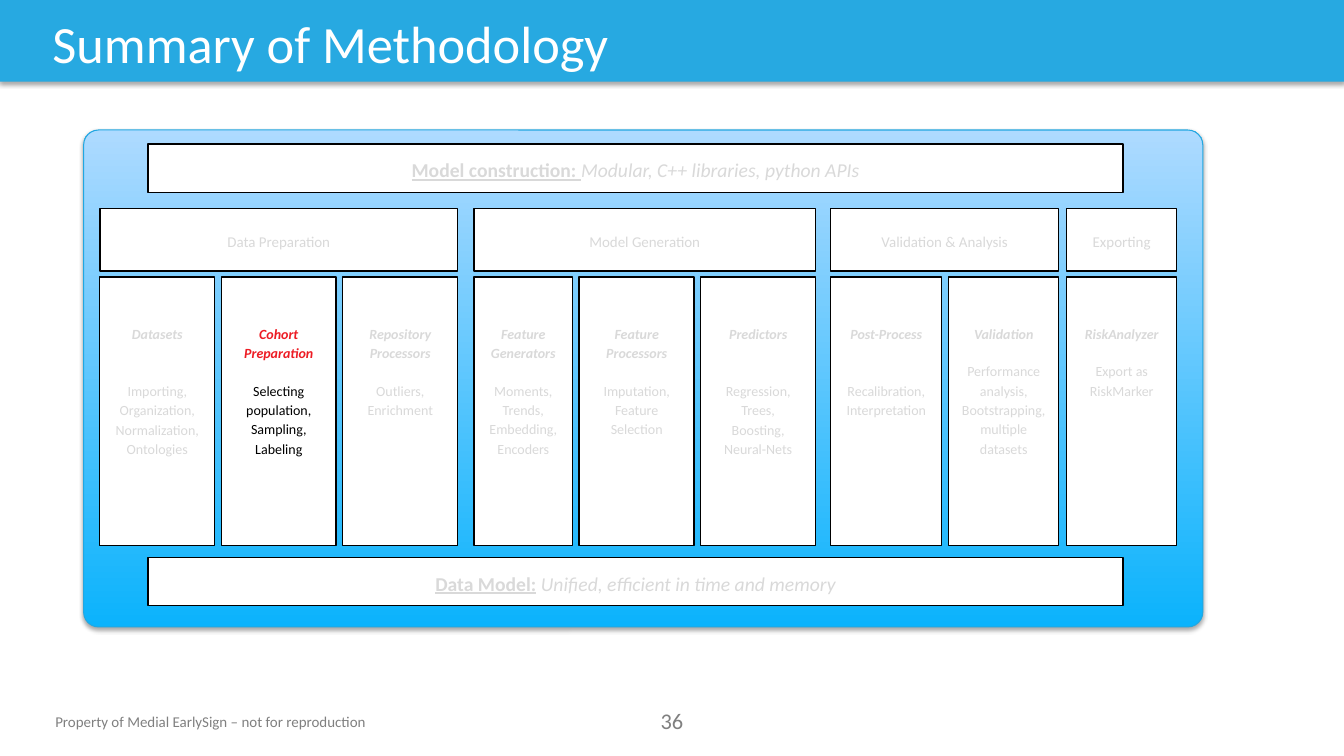
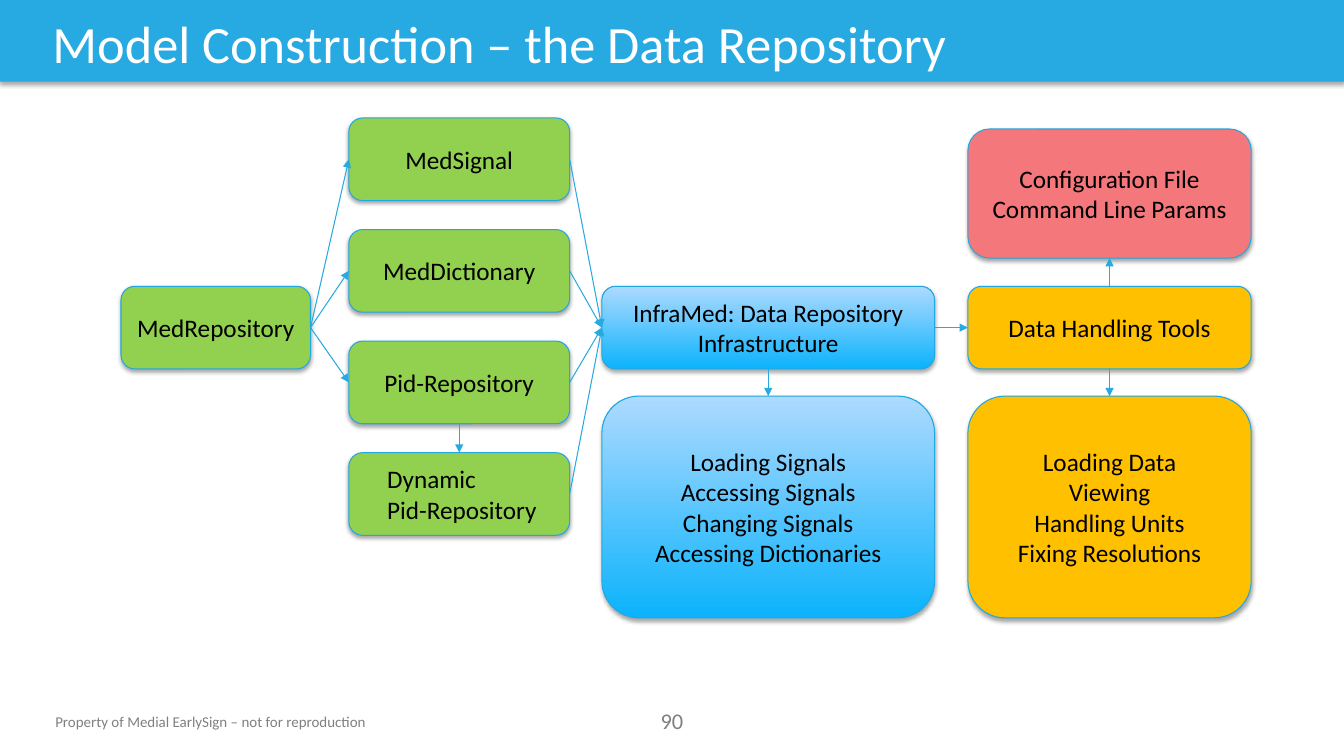
from lxml import etree
from pptx import Presentation
from pptx.dml.color import RGBColor
from pptx.enum.shapes import MSO_CONNECTOR, MSO_SHAPE
from pptx.enum.text import MSO_ANCHOR, PP_ALIGN
from pptx.oxml.ns import qn
from pptx.util import Inches, Pt

FONT = "Calibri"
BAND_BLUE = RGBColor(0x27, 0xA9, 0xE1)
OUTLINE_BLUE = RGBColor(0x21, 0xA7, 0xE1)
DEEP_BLUE = RGBColor(0x0B, 0xB3, 0xFC)
PALE_BLUE = RGBColor(0xAE, 0xDA, 0xFF)
GREEN = RGBColor(0x92, 0xD0, 0x50)
AMBER = RGBColor(0xFF, 0xC0, 0x00)
CORAL = RGBColor(0xF4, 0x77, 0x7C)
RED = RGBColor(0xED, 0x1C, 0x24)
WHITE = RGBColor(0xFF, 0xFF, 0xFF)
BLACK = RGBColor(0, 0, 0)
FADED = RGBColor(0xD9, 0xD9, 0xD9)
FOOTER_GRAY = RGBColor(0x80, 0x80, 0x80)
BLUE_GRADIENT = (DEEP_BLUE, PALE_BLUE)

TOP, LEFT, BOTTOM, RIGHT = range(4)  # connection sites
PARAGRAPH_GAP = 13.3
BODY_LINE = 14

# Stage: name, left, width, steps. Step: width, heading, body, blank lines above body
STAGES = [
    ("Data Preparation", 0.99, 3.55, [
        (1.14, "Datasets", "Importing, Organization, Normalization, Ontologies", 1),
        (1.14, "Cohort Preparation", "Selecting population, Sampling, Labeling", 0),
        (1.14, "Repository Processors", "Outliers, Enrichment", 0)]),
    ("Model Generation", 4.7, 3.39, [
        (0.98, "Feature Generators", "Moments, Trends, Embedding, Encoders", 0),
        (1.14, "Feature Processors", "Imputation, Feature Selection", 0),
        (1.14, "Predictors", "Regression, Trees, Boosting, Neural-Nets", 1)]),
    ("Validation & Analysis", 8.24, 2.26, [
        (1.1, "Post-Process", "Recalibration, Interpretation", 1),
        (1.09, "Validation", "Performance analysis, Bootstrapping, multiple datasets", 0)]),
    ("Exporting", 10.58, 1.09, [
        (1.09, "RiskAnalyzer", "Export as RiskMarker", 0)]),
]
CURRENT_STEP = "Cohort Preparation"


def style_font(font, size, color, bold=None, italic=None, underline=None):
    font.name, font.size = FONT, Pt(size)
    font.color.rgb = color
    font.bold, font.italic, font.underline = bold, italic, underline


def add_panel(slide, kind, box, fill, line=None, line_width=0.75, shadow=True):
    """Add a filled shape; a pair of colours as fill runs from bottom to top."""
    panel = slide.shapes.add_shape(kind, *map(Inches, box))
    if isinstance(fill, RGBColor):
        panel.fill.solid()
        panel.fill.fore_color.rgb = fill
    else:
        panel.fill.gradient()
        panel.fill.gradient_angle = 90
        for stop, color in zip(panel.fill.gradient_stops, fill):
            stop.color.rgb = color
    if line is None:
        panel.line.fill.background()
    else:
        panel.line.color.rgb = line
        panel.line.width = Pt(line_width)
    panel.shadow.inherit = False
    if shadow:
        effects = panel.element.spPr.find(qn("a:effectLst"))
        outer = etree.SubElement(effects, qn("a:outerShdw"), blurRad=str(Pt(3.1)),
                                 dist=str(Pt(1.8)), dir="5400000", rotWithShape="0")
        black = etree.SubElement(outer, qn("a:srgbClr"), val="000000")
        etree.SubElement(black, qn("a:alpha"), val="35000")
    return panel


def add_label(slide, left, top, width, height, text, size, align, wrap):
    frame = slide.shapes.add_textbox(*map(Inches, (left, top, width, height))).text_frame
    frame.word_wrap = wrap
    paragraph = frame.paragraphs[0]
    paragraph.text, paragraph.alignment = text, align
    style_font(paragraph.font, size, FOOTER_GRAY)


def start_slide(prs, title_text, number):
    """Add a slide with its title band, footer and page number."""
    slide = prs.slides.add_slide(prs.slide_layouts[5])
    band = add_panel(slide, MSO_SHAPE.RECTANGLE, (0, -0.01, 13.33, 0.82), BAND_BLUE)
    title = slide.shapes.title
    title.element.addprevious(band.element)
    title.left, title.top, title.width, title.height = map(Inches, (0.42, 0.06, 11.1, 0.73))
    title.text_frame.text = title_text
    title.text_frame.vertical_anchor = MSO_ANCHOR.MIDDLE
    heading = title.text_frame.paragraphs[0]
    heading.alignment = PP_ALIGN.LEFT
    style_font(heading.font, 37.4, WHITE)
    add_label(slide, 0.45, 7.02, 3.28, 0.28,
              "Property of Medial EarlySign – not for reproduction", 10.7, PP_ALIGN.LEFT, False)
    add_label(slide, 6.26, 6.97, 0.81, 0.37, str(number), 16, PP_ALIGN.CENTER, True)
    return slide


def add_white_box(slide, box, anchor, top_inset=0.07):
    """Add a black-edged white box and return its text frame."""
    frame = add_panel(slide, MSO_SHAPE.RECTANGLE, box, WHITE, BLACK, 1, shadow=False).text_frame
    frame.word_wrap = True
    frame.vertical_anchor = anchor
    frame.margin_left = frame.margin_right = Inches(0.13)
    frame.margin_top, frame.margin_bottom = Inches(top_inset), Inches(0.07)
    return frame


def space_out(paragraph, after=PARAGRAPH_GAP):
    paragraph.alignment = PP_ALIGN.CENTER
    paragraph.line_spacing = 1.15
    paragraph.space_after = Pt(after)


def add_bar(slide, top, lead, gap, detail):
    """Add a wide bar with an underlined lead and an italic detail."""
    frame = add_white_box(slide, (1.47, top, 9.67, 0.48), MSO_ANCHOR.MIDDLE)
    paragraph = frame.paragraphs[0]
    space_out(paragraph)
    for text, bold, italic, underline in ((lead, True, False, True),
                                          (gap + detail, False, True, False)):
        run = paragraph.add_run()
        run.text = text
        style_font(run.font, 14, FADED, bold, italic, underline)


def add_step(slide, left, width, heading, body, blank_lines):
    frame = add_white_box(slide, (left, 2.75, width, 2.66), MSO_ANCHOR.TOP, 0.45)
    current = heading == CURRENT_STEP
    top, below = frame.paragraphs[0], frame.add_paragraph()
    top.text, below.text = heading, body
    space_out(top, PARAGRAPH_GAP + BODY_LINE * blank_lines)
    space_out(below)
    style_font(top.font, 10, RED if current else FADED, bold=True, italic=True)
    style_font(below.font, 10, BLACK if current else FADED)


def add_stage(slide, name, left, width, steps):
    frame = add_white_box(slide, (left, 2.07, width, 0.62), MSO_ANCHOR.MIDDLE)
    paragraph = frame.paragraphs[0]
    paragraph.text = name
    space_out(paragraph)
    style_font(paragraph.font, 10.7, FADED)
    gap = (width - sum(step[0] for step in steps)) / max(len(steps) - 1, 1)
    for step_width, *content in steps:
        add_step(slide, left, step_width, *content)
        left += step_width + gap


def add_node(slide, box, fill, *lines, align=PP_ALIGN.CENTER, left_inset=0.1):
    node = add_panel(slide, MSO_SHAPE.ROUNDED_RECTANGLE, box, fill, OUTLINE_BLUE)
    frame = node.text_frame
    frame.word_wrap = True
    frame.vertical_anchor = MSO_ANCHOR.MIDDLE
    frame.margin_left = Inches(left_inset)
    frame.text = "\n".join(lines)
    for paragraph in frame.paragraphs:
        paragraph.alignment = align
        style_font(paragraph.font, 18, BLACK)
    return node


def add_arrow(slide, source, source_site, target, target_site):
    arrow = slide.shapes.add_connector(MSO_CONNECTOR.STRAIGHT, 0, 0, 0, 0)
    arrow.begin_connect(source, source_site)
    arrow.end_connect(target, target_site)
    arrow.line.color.rgb = BAND_BLUE
    arrow.line.width = Pt(0.75)
    properties = arrow.element.spPr
    etree.SubElement(properties.find(qn("a:ln")), qn("a:tailEnd"), type="triangle")
    etree.SubElement(properties, qn("a:effectLst"))


def build_methodology(prs):
    slide = start_slide(prs, "Summary of Methodology", 36)
    backdrop = add_panel(slide, MSO_SHAPE.ROUNDED_RECTANGLE, (0.83, 1.29, 11.1, 4.93),
                         BLUE_GRADIENT, OUTLINE_BLUE)
    backdrop.adjustments[0] = 0.03
    add_bar(slide, 1.43, "Model construction: ", "", "Modular, C++ libraries, python APIs")
    for stage in STAGES:
        add_stage(slide, *stage)
    add_bar(slide, 5.53, "Data Model:", " ", "Unified, efficient in time and memory")


def build_repository(prs):
    slide = start_slide(prs, "Model Construction – the Data Repository", 90)
    row_top, row_height = 2.84, 0.82
    detail_top, detail_height = 3.93, 2.2
    infra_left, infra_width = 5.97, 3.3
    tools_left, tools_width = 9.6, 2.81

    def part_box(row):
        return 3.46, 1.17 + 1.107 * row, 2.19, row_height

    repository = add_node(slide, (1.2, row_top, 1.88, row_height), GREEN, "MedRepository")
    parts = [add_node(slide, part_box(row), GREEN, name)
             for row, name in enumerate(("MedSignal", "MedDictionary", "Pid-Repository"))]
    dynamic = add_node(slide, part_box(3), GREEN, "Dynamic", "Pid-Repository",
                       align=PP_ALIGN.LEFT, left_inset=0.34)
    infra = add_node(slide, (infra_left, row_top, infra_width, row_height), BLUE_GRADIENT,
                     "InfraMed: Data Repository Infrastructure")
    infra_tasks = add_node(slide, (infra_left, detail_top, infra_width, detail_height),
                           BLUE_GRADIENT, "Loading Signals", "Accessing Signals",
                           "Changing Signals", "Accessing Dictionaries")
    tools = add_node(slide, (tools_left, row_top, tools_width, row_height), AMBER,
                     "Data Handling Tools")
    tool_tasks = add_node(slide, (tools_left, detail_top, tools_width, detail_height), AMBER,
                          "Loading Data", "Viewing", "Handling Units", "Fixing Resolutions")
    settings = add_node(slide, (tools_left, 1.28, tools_width, 1.28), CORAL,
                        "Configuration File", "Command Line Params")

    for part in parts:
        add_arrow(slide, repository, RIGHT, part, LEFT)
    for part in (*parts, dynamic):
        add_arrow(slide, part, RIGHT, infra, LEFT)
    for upper, lower in ((parts[-1], dynamic), (infra, infra_tasks), (tools, tool_tasks)):
        add_arrow(slide, upper, BOTTOM, lower, TOP)
    add_arrow(slide, tools, TOP, settings, BOTTOM)
    add_arrow(slide, infra, RIGHT, tools, LEFT)


def main():
    prs = Presentation()
    prs.slide_width, prs.slide_height = Inches(13.33), Inches(7.5)
    build_methodology(prs)
    build_repository(prs)
    prs.save("out.pptx")


if __name__ == "__main__":
    main()
